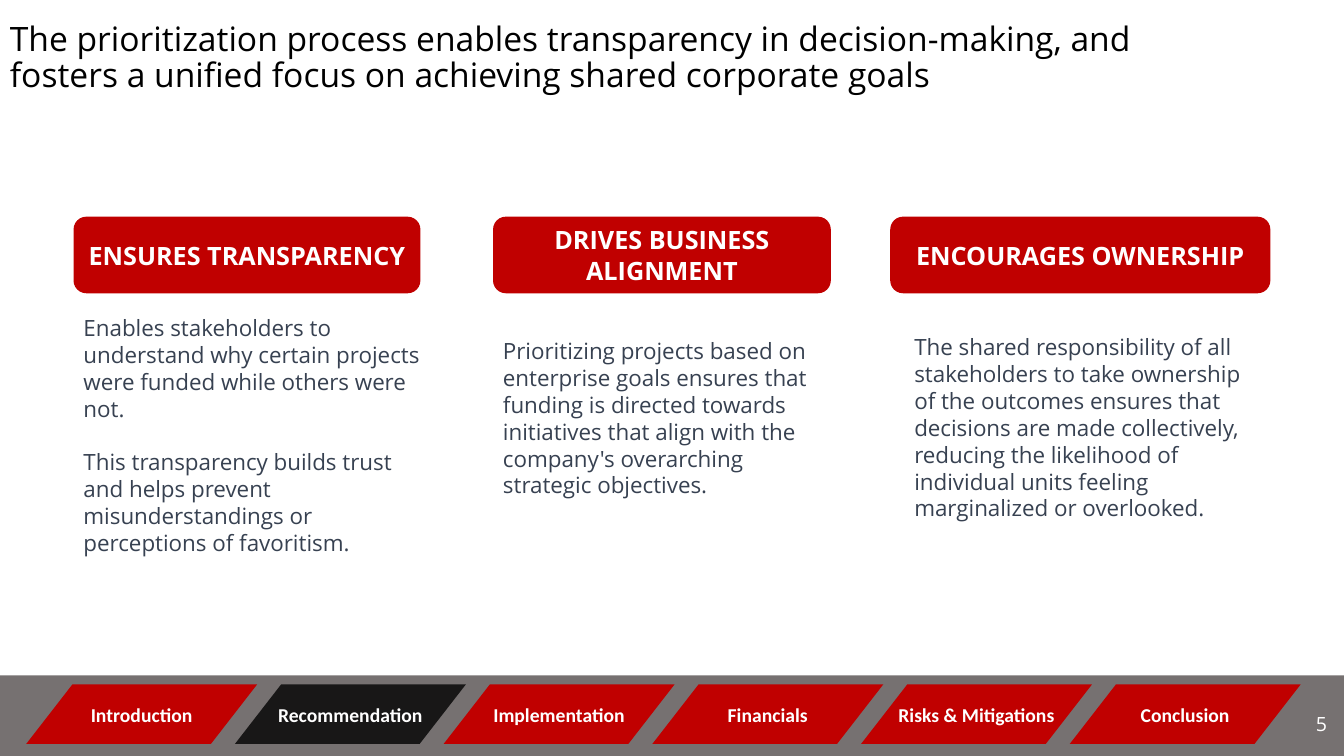
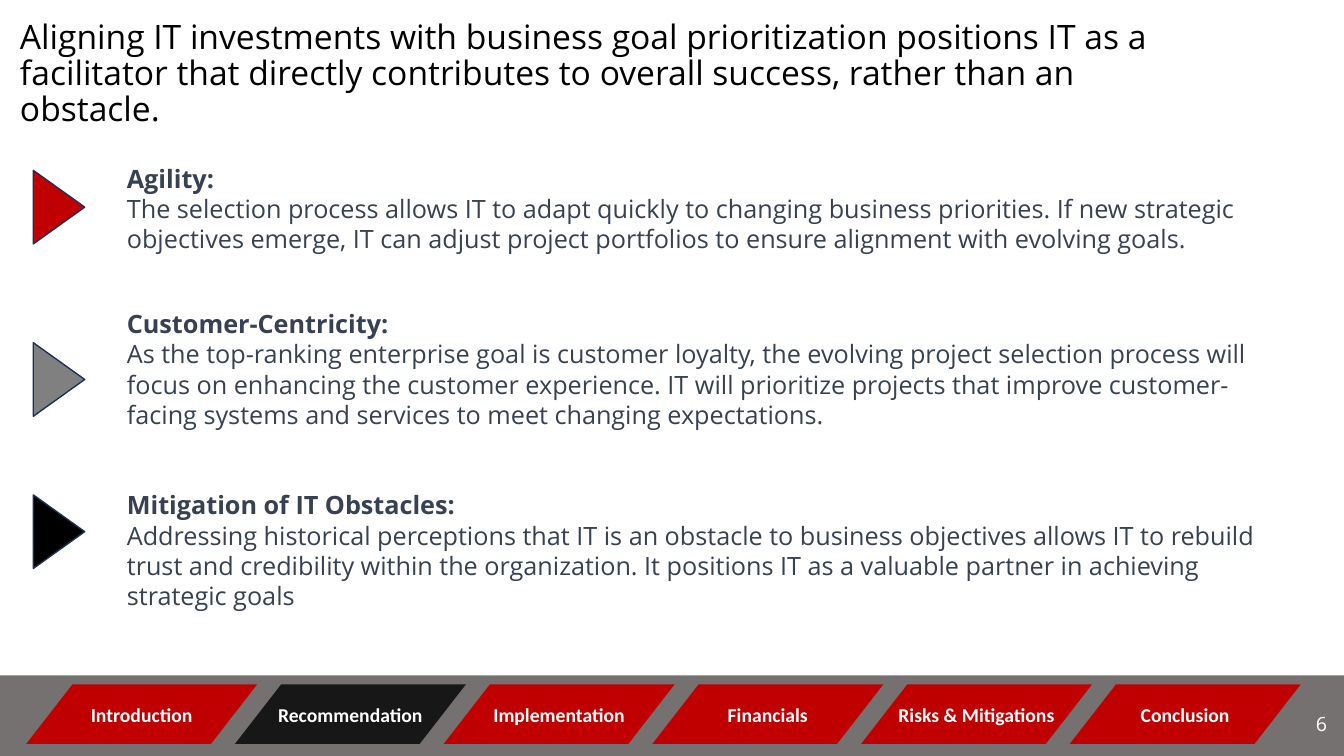
from pptx import Presentation
from pptx.dml.color import RGBColor
from pptx.enum.shapes import MSO_SHAPE as SHAPE
from pptx.enum.text import MSO_ANCHOR as ANCHOR, PP_ALIGN as ALIGN
from pptx.util import Inches, Pt

COLORS = {
    "red": "C00000",
    "gray": "808080",
    "black": "000000",
    "white": "FFFFFF",
    "band": "767171",
    "active": "181717",
    "body": "374151",
    "outline": "1E3256",
}
SECTIONS = ["Introduction", "Recommendation", "Implementation",
            "Financials", "Risks & Mitigations", "Conclusion"]
TAB_LEFT, TAB_STEP = 0.26, 2.07


class Deck:
    """Holds the shared style and the slide being built."""
    font, tab_font = "Open Sans", "Calibri"

    def __init__(self):
        self.prs = Presentation()
        self.prs.slide_width = Inches(13.33)
        self.prs.slide_height = Inches(7.5)
        self.s = None

    def color(self, name):
        return RGBColor.from_string(COLORS[name])

    def style(self, p, size, color, bold=False, font=None):
        for r in p.runs:
            r.font.name = font or self.font
            r.font.size = Pt(size)
            r.font.bold = bold
            r.font.color.rgb = self.color(color)

    def text(self, box, paragraphs, size, color="body", anchor=ANCHOR.MIDDLE):
        """Adds a wrapping text box and returns its paragraphs."""
        tf = self.s.shapes.add_textbox(*map(Inches, box)).text_frame
        tf.word_wrap = True
        tf.vertical_anchor = anchor
        tf.text = "\n".join(paragraphs)
        for p in tf.paragraphs:
            self.style(p, size, color)
        return tf.paragraphs

    def shape(self, kind, box, fill, line=None):
        sp = self.s.shapes.add_shape(kind, *map(Inches, box))
        sp.shadow.inherit = False
        sp.fill.solid()
        sp.fill.fore_color.rgb = self.color(fill)
        if line:
            sp.line.color.rgb = self.color(line)
            sp.line.width = Pt(1)
        else:
            sp.line.fill.background()
        return sp

    def label(self, sp, text, size, font=None, wrap=True):
        """Puts bold white centred text in a shape."""
        tf = sp.text_frame
        tf.text = text
        tf.word_wrap = wrap
        tf.vertical_anchor = ANCHOR.MIDDLE
        p = tf.paragraphs[0]
        p.alignment = ALIGN.CENTER
        self.style(p, size, "white", True, font)

    def slide(self, title, title_box, number, section):
        self.s = self.prs.slides.add_slide(self.prs.slide_layouts[6])
        self.footer(number, section)
        p = self.text(title_box, [title], 24, "black", ANCHOR.BOTTOM)[0]
        p.line_spacing = 0.9

    def footer(self, number, section):
        self.shape(SHAPE.RECTANGLE, (0, 6.7, 13.33, 0.8), "band")
        for i, name in enumerate(SECTIONS):
            fill = "active" if name == section else "red"
            tab = self.shape(SHAPE.FLOWCHART_DATA,
                             (TAB_LEFT + i * TAB_STEP, 6.79, 2.29, 0.59), fill)
            self.label(tab, name, 14, self.tab_font, wrap=False)
        p = self.text((10.26, 6.98, 3, 0.4), [str(number)], 14, "white")[0]
        p.alignment = ALIGN.RIGHT

    def column(self, heading, left, width, body_box, paragraphs):
        header = self.shape(SHAPE.ROUNDED_RECTANGLE, (left, 2.15, width, 0.76), "red")
        self.label(header, heading, 18)
        for p in self.text(body_box, paragraphs, 16)[1:]:
            p.space_before = Pt(19)

    def point(self, marker_top, fill, text_top, heading, body):
        """Adds a right-pointing marker with a headed paragraph beside it."""
        marker = self.shape(SHAPE.FLOWCHART_EXTRACT,
                            (0.22, marker_top, 0.73, 0.51), fill, "outline")
        marker.rotation = 90
        head = self.text((1.16, text_top, 11.68, 1.31), [heading, body], 18,
                         anchor=ANCHOR.TOP)[0]
        self.style(head, 18, "body", True)


def main():
    deck = Deck()

    deck.slide("The prioritization process enables transparency in decision-making, "
               "and fosters a unified focus on achieving shared corporate goals",
               (0, 0.02, 11.6, 0.97), 5, "Recommendation")
    deck.column("ENSURES TRANSPARENCY", 0.73, 3.44, (0.73, 3.41, 3.7, 1.81), [
        "Enables stakeholders to understand why certain projects were funded "
        "while others were not.",
        "This transparency builds trust and helps prevent misunderstandings or "
        "perceptions of favoritism."])
    deck.column("DRIVES BUSINESS ALIGNMENT", 4.89, 3.35, (4.89, 2.92, 3.35, 2.45), [
        "Prioritizing projects based on enterprise goals ensures that funding is "
        "directed towards initiatives that align with the company's overarching "
        "strategic objectives."])
    deck.column("ENCOURAGES OWNERSHIP", 8.83, 3.77, (8.97, 3.26, 3.63, 1.96), [
        "The shared responsibility of all stakeholders to take ownership of the "
        "outcomes ensures that decisions are made collectively, reducing the "
        "likelihood of individual units feeling marginalized or overlooked."])

    deck.slide("Aligning IT investments with business goal prioritization positions IT "
               "as a facilitator that directly contributes to overall success, rather "
               "than an obstacle.",
               (0.1, 0.02, 11.5, 1.31), 6, "Recommendation")
    deck.point(1.8, "red", 1.57, "Agility:",
               "The selection process allows IT to adapt quickly to changing business "
               "priorities. If new strategic objectives emerge, IT can adjust project "
               "portfolios to ensure alignment with evolving goals.")
    deck.point(3.51, "gray", 3.01, "Customer-Centricity:",
               "As the top-ranking enterprise goal is customer loyalty, the evolving "
               "project selection process will focus on enhancing the customer "
               "experience. IT will prioritize projects that improve customer-facing "
               "systems and services to meet changing expectations.")
    deck.point(5.02, "black", 4.81, "Mitigation of IT Obstacles:",
               "Addressing historical perceptions that IT is an obstacle to business "
               "objectives allows IT to rebuild trust and credibility within the "
               "organization. It positions IT as a valuable partner in achieving "
               "strategic goals")

    deck.prs.save("out.pptx")


if __name__ == "__main__":
    main()
